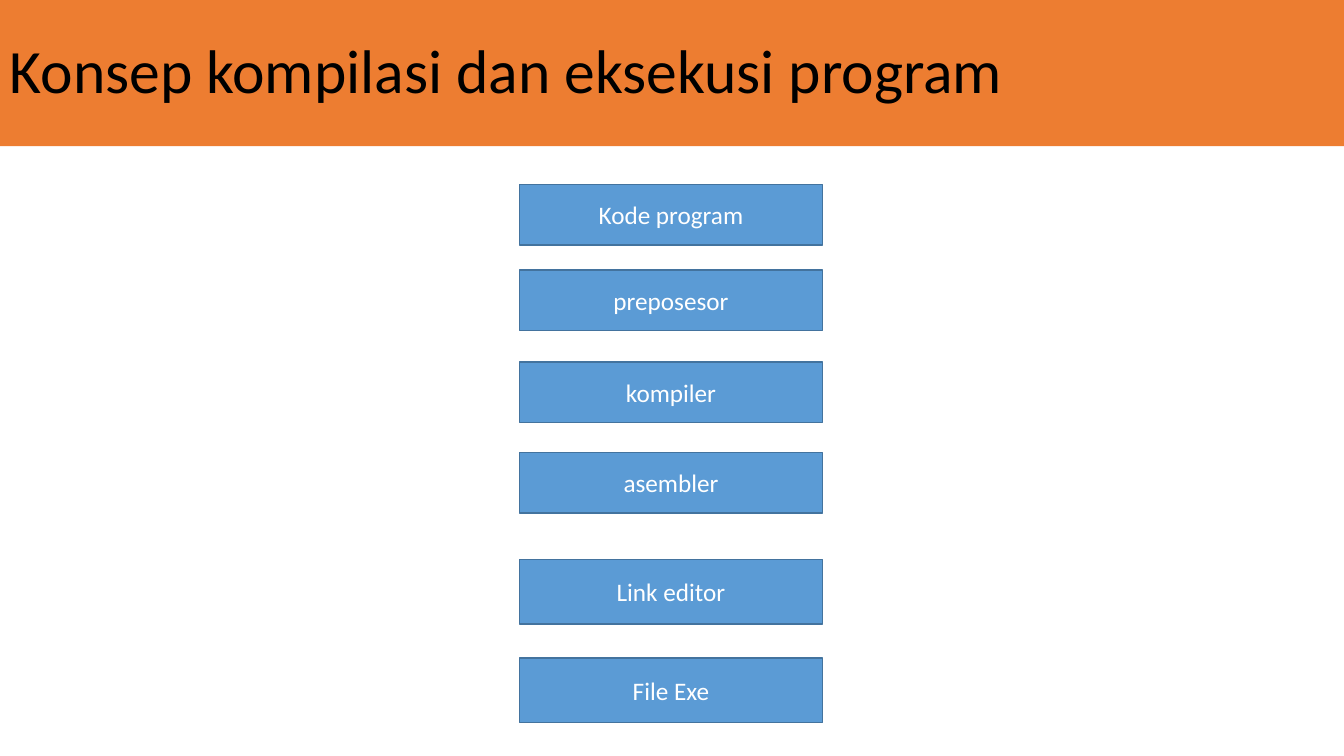
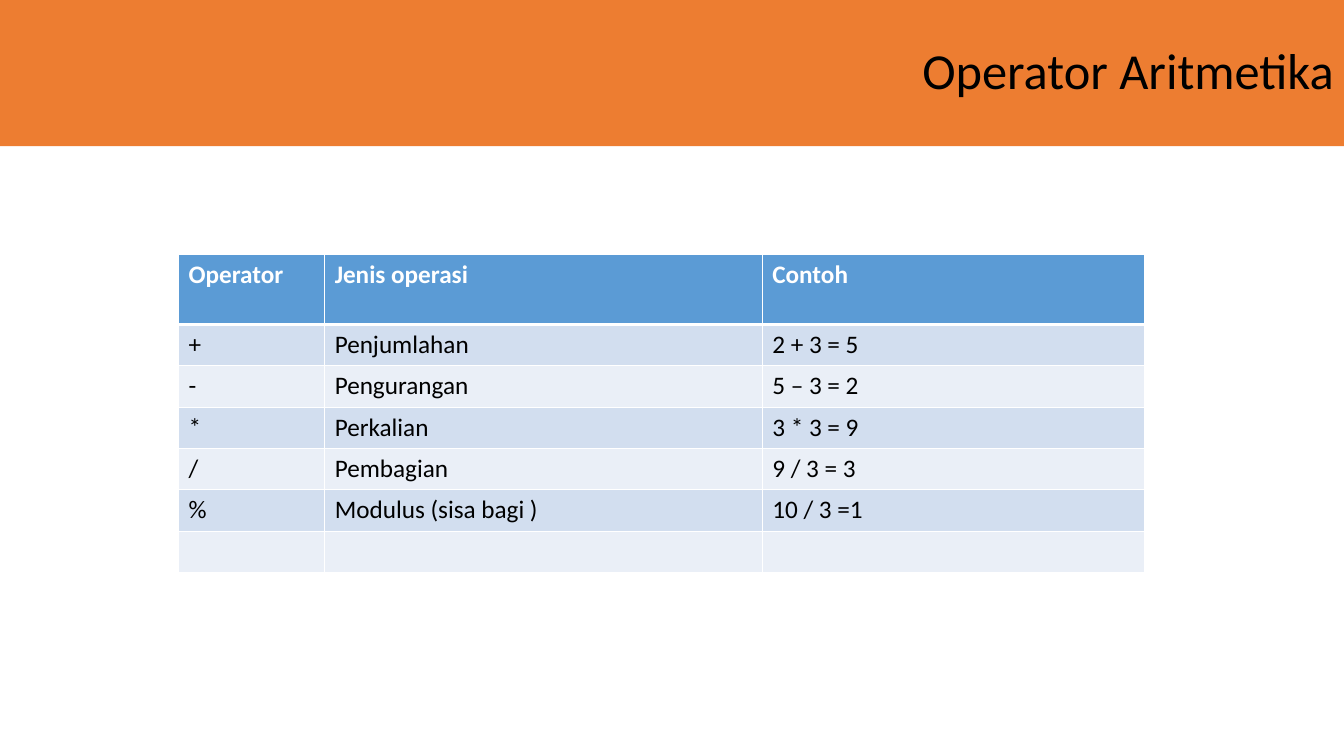
from dataclasses import dataclass

from pptx import Presentation
from pptx.dml.color import RGBColor
from pptx.enum.shapes import MSO_SHAPE
from pptx.enum.text import MSO_ANCHOR, PP_ALIGN
from pptx.oxml.ns import qn
from pptx.presentation import Presentation as Deck
from pptx.shapes.autoshape import Shape
from pptx.slide import Slide
from pptx.table import _Cell as Cell
from pptx.util import Inches, Pt
from lxml.etree import SubElement

# Shared style
FONT = "Calibri"
BODY_SIZE = 18
ORANGE = RGBColor(0xED, 0x7D, 0x31)
BLUE = RGBColor(0x5B, 0x9B, 0xD5)
DARK_BLUE = RGBColor(0x43, 0x73, 0x9E)
BAND_DARK = RGBColor(0xD2, 0xDE, 0xEF)
BAND_LIGHT = RGBColor(0xEA, 0xEF, 0xF7)
BLACK = RGBColor(0x00, 0x00, 0x00)
WHITE = RGBColor(0xFF, 0xFF, 0xFF)
SLIDE_WIDTH, SLIDE_HEIGHT = 13.33, 7.5
BAND_HEIGHT = 1.45


@dataclass(frozen=True)
class Step:
    label: str
    top: float
    height: float = 0.6


@dataclass(frozen=True)
class Operation:
    operator: str
    kind: str
    example: str


STEP_LEFT, STEP_WIDTH = 5.15, 3.01
STEPS = [
    Step("Kode program", 1.83),
    Step("preposesor", 2.68),
    Step("kompiler", 3.59),
    Step("asembler", 4.49),
    Step("Link editor", 5.55, 0.64),
    Step("File Exe", 6.53, 0.64),
]

TABLE_LEFT, TABLE_TOP = 1.77, 2.52
COLUMN_WIDTHS = [1.45, 4.34, 3.79]
HEADER_HEIGHT, ROW_HEIGHT = 0.7, 0.41
OPERATIONS = [
    Operation("Operator", "Jenis operasi", "Contoh"),
    Operation("+", "Penjumlahan", "2 + 3 = 5"),
    Operation("-", "Pengurangan", "5 – 3 = 2"),
    Operation("*", "Perkalian", "3 * 3 = 9"),
    Operation("/", "Pembagian", "9 / 3 = 3"),
    Operation("%", "Modulus (sisa bagi )", "10 / 3 =1"),
    Operation("", "", ""),
]


def write(holder: Shape | Cell, text: str, size: float, color: RGBColor,
          align: PP_ALIGN = PP_ALIGN.LEFT, bold: bool = False) -> None:
    paragraph = holder.text_frame.paragraphs[0]
    if text:
        paragraph.text = text
    paragraph.alignment = align
    font = paragraph.font
    font.name, font.size, font.bold = FONT, Pt(size), bold
    font.color.rgb = color


def add_box(slide: Slide, left: float, top: float, width: float,
            height: float, fill: RGBColor) -> Shape:
    box = slide.shapes.add_shape(MSO_SHAPE.RECTANGLE, Inches(left), Inches(top),
                                 Inches(width), Inches(height))
    box.shadow.inherit = False
    box.fill.solid()
    box.fill.fore_color.rgb = fill
    box.line.fill.background()
    box.text_frame.word_wrap = True
    box.text_frame.vertical_anchor = MSO_ANCHOR.MIDDLE
    return box


def add_titled_slide(deck: Deck, title: str, size: float,
                     align: PP_ALIGN = PP_ALIGN.LEFT) -> Slide:
    slide = deck.slides.add_slide(deck.slide_layouts[6])
    band = add_box(slide, 0, 0, SLIDE_WIDTH, BAND_HEIGHT, ORANGE)
    write(band, title, size, BLACK, align)
    band.text_frame.paragraphs[0].line_spacing = 0.9
    return slide


def add_step(slide: Slide, step: Step) -> None:
    box = add_box(slide, STEP_LEFT, step.top, STEP_WIDTH, step.height, BLUE)
    box.line.color.rgb = DARK_BLUE
    box.line.width = Pt(1)
    write(box, step.label, BODY_SIZE, WHITE, PP_ALIGN.CENTER)


def set_borders(cell: Cell, top: float, bottom: float) -> None:
    properties = cell._tc.get_or_add_tcPr()
    for side, width in (("L", 1), ("R", 1), ("T", top), ("B", bottom)):
        line = SubElement(properties, qn(f"a:ln{side}"), w=str(Pt(width)))
        fill = SubElement(line, qn("a:solidFill"))
        SubElement(fill, qn("a:srgbClr"), val=str(WHITE))


def add_operations(slide: Slide) -> None:
    row_heights = [HEADER_HEIGHT] + [ROW_HEIGHT] * (len(OPERATIONS) - 1)
    table = slide.shapes.add_table(
        len(OPERATIONS), len(COLUMN_WIDTHS), Inches(TABLE_LEFT), Inches(TABLE_TOP),
        Inches(sum(COLUMN_WIDTHS)), Inches(sum(row_heights))).table
    for column, width in zip(table.columns, COLUMN_WIDTHS):
        column.width = Inches(width)
    for index, (operation, height) in enumerate(zip(OPERATIONS, row_heights)):
        table.rows[index].height = Inches(height)
        header = index == 0
        fill = BLUE if header else BAND_DARK if index % 2 else BAND_LIGHT
        texts = (operation.operator, operation.kind, operation.example)
        for cell, text in zip(table.rows[index].cells, texts):
            set_borders(cell, top=3 if index == 1 else 1, bottom=3 if header else 1)
            cell.fill.solid()
            cell.fill.fore_color.rgb = fill
            write(cell, text, BODY_SIZE, WHITE if header else BLACK, bold=header)


def main() -> None:
    deck = Presentation()
    deck.slide_width, deck.slide_height = Inches(SLIDE_WIDTH), Inches(SLIDE_HEIGHT)

    # Compilation steps
    compilation = add_titled_slide(deck, "Konsep kompilasi dan eksekusi program", 44)
    for step in STEPS:
        add_step(compilation, step)

    # Arithmetic operators
    arithmetic = add_titled_slide(deck, "Operator Aritmetika", 36, PP_ALIGN.RIGHT)
    add_operations(arithmetic)

    deck.save("out.pptx")


if __name__ == "__main__":
    main()
